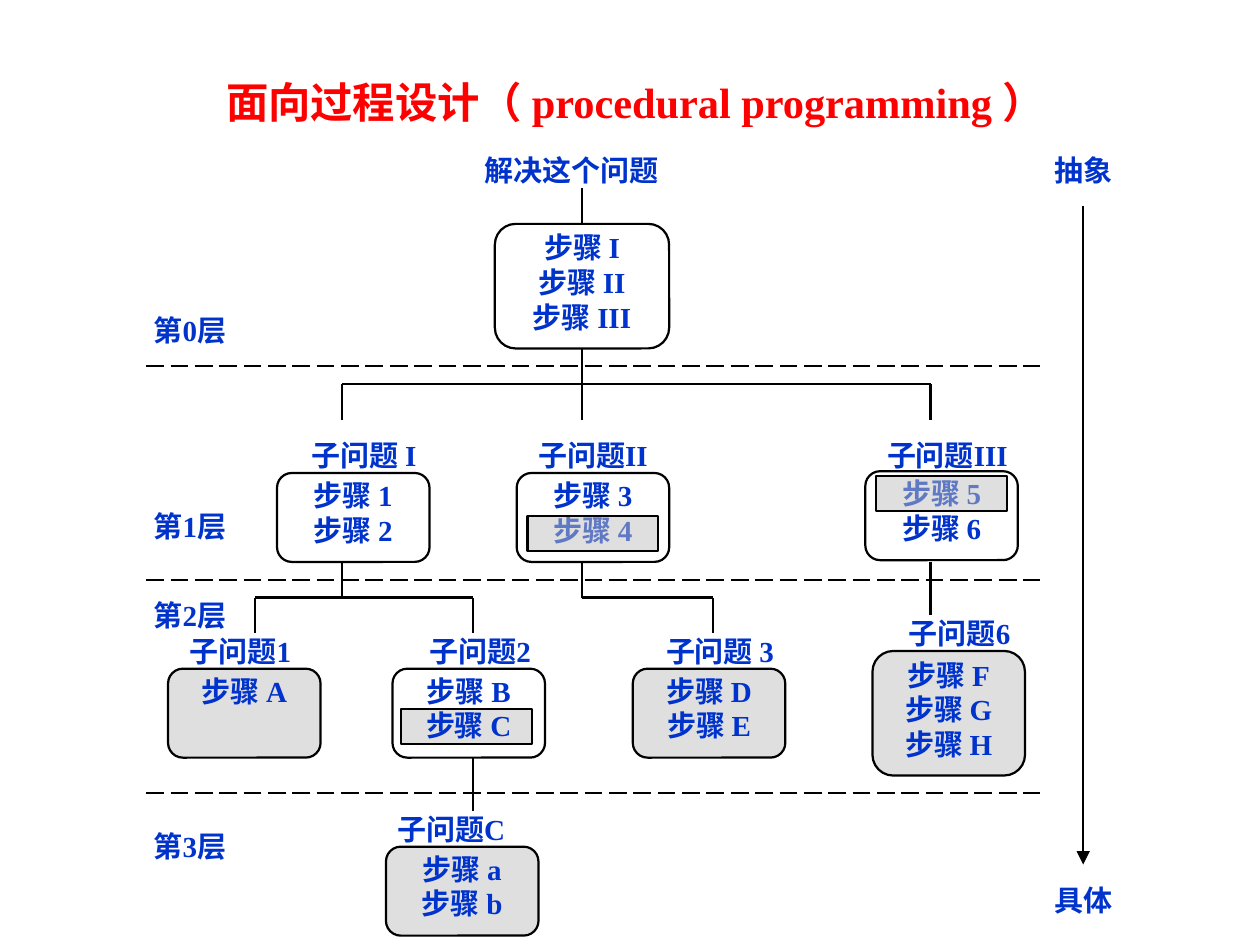
from dataclasses import dataclass

from lxml import etree
from pptx import Presentation
from pptx.dml.color import RGBColor
from pptx.enum.dml import MSO_LINE
from pptx.enum.shapes import MSO_CONNECTOR, MSO_SHAPE
from pptx.enum.text import MSO_ANCHOR, PP_ALIGN
from pptx.oxml.ns import qn
from pptx.util import Inches, Pt

ROUNDED, RECTANGLE = MSO_SHAPE.ROUNDED_RECTANGLE, MSO_SHAPE.RECTANGLE
STRAIGHT, LONG_DASH = MSO_CONNECTOR.STRAIGHT, MSO_LINE.LONG_DASH
CENTER, LEFT = PP_ALIGN.CENTER, PP_ALIGN.LEFT
TOP, MIDDLE = MSO_ANCHOR.TOP, MSO_ANCHOR.MIDDLE

COLORS = {"title": "FF0000", "text": "0033CC", "line": "000000", "shade": "C0C0C0"}
FONT = "Times New Roman"
BOX_COLUMNS, LABEL_COLUMNS, LABEL_ROWS = 7, 6, 2

# label, its column and alignment, box column and row, steps, shaded box
SUBPROBLEMS = [
    ("子问题 I", 7, CENTER, 6, 18, ["步骤 1", "步骤 2"], False),
    ("子问题II", 18, LEFT, 17, 18, ["步骤 3", "步骤 4"], False),
    ("子问题III", 34, LEFT, 33, 17.9, ["步骤 5", "步骤 6"], False),
    ("子问题1", 1.33, CENTER, 1, 29, ["步骤 A"], True),
    ("子问题2", 12.33, CENTER, 11.3, 29, ["步骤 B", "步骤 C"], False),
    ("子问题 3", 23.33, CENTER, 22.33, 29, ["步骤 D", "步骤 E"], True),
    ("子问题6", 34.33, CENTER, 33.33, 28, ["步骤 F", "步骤 G", "步骤 H"], True),
    ("子问题C", 11, CENTER, 11, 39, ["步骤 a", "步骤 b"], True),
]
MARKED_STEPS = [(17.5, 20.4), (33.5, 18.15), (11.7, 31.25)]
BRANCHES = [
    (9, 13, 36, 13), (9, 13, 9, 15), (36, 13, 36, 15),
    (9, 23, 9, 25), (5, 25, 15, 25), (5, 25, 5, 27), (15, 25, 15, 27),
    (20, 23, 20, 25), (20, 25, 26, 25), (26, 25, 26, 27),
    (15, 34, 15, 37), (36, 23, 36, 26),
]
LEVEL_ROWS = [9, 20, 25, 38]
DIVIDER_ROWS = [12, 24, 36]


@dataclass
class Grid:
    """Maps columns and rows to slide lengths, from an origin in inches."""
    left: float
    top: float
    column: float
    row: float

    def point(self, column, row):
        return (Inches(self.left + column * self.column),
                Inches(self.top + row * self.row))

    def box(self, column, row, columns, rows):
        return (*self.point(column, row),
                Inches(columns * self.column), Inches(rows * self.row))


def color(name):
    return RGBColor.from_string(COLORS[name])


def write(shape, lines, size=13, color_name="text", align=CENTER, anchor=TOP):
    frame = shape.text_frame
    frame.text = "\n".join(lines)
    frame.word_wrap = True
    frame.vertical_anchor = anchor
    frame.margin_left = frame.margin_right = 0
    frame.margin_top = frame.margin_bottom = 0
    for paragraph in frame.paragraphs:
        paragraph.alignment = align
        font = paragraph.runs[0].font
        font.name, font.size, font.bold = FONT, Pt(size), True
        font.color.rgb = color(color_name)


def add_label(slide, box, text, **style):
    label = slide.shapes.add_textbox(*box)
    write(label, [text], **style)
    return label


def add_box(slide, preset, box, shaded):
    shape = slide.shapes.add_shape(preset, *box)
    shape.shadow.inherit = False
    shape.line.color.rgb = color("line")
    shape.line.width = Pt(1)
    if shaded:
        shape.fill.solid()
        shape.fill.fore_color.rgb = color("shade")
        tint = shape.fill._xPr.find(".//" + qn("a:srgbClr"))
        etree.SubElement(tint, qn("a:alpha"), val="50000")
    else:
        shape.fill.background()
    return shape


def add_step_box(slide, box, steps, shaded=False):
    shape = add_box(slide, ROUNDED, box, shaded)
    write(shape, steps)
    return shape


def add_line(slide, start, end):
    line = slide.shapes.add_connector(STRAIGHT, *start, *end)
    line.line.color.rgb = color("line")
    line.line.width = Pt(1)
    etree.SubElement(line._element.spPr, qn("a:effectLst"))
    return line


def draw_root(slide, grid):
    add_label(slide, grid.box(15, 0, 9, LABEL_ROWS), "解决这个问题")
    root = add_step_box(slide, grid.box(16, 4, 8, 7), ["步骤 I", "步骤 II", "步骤 III"])
    add_line(slide, grid.point(20, 2), grid.point(20, 4)).end_connect(root, 0)
    add_line(slide, grid.point(20, 11), grid.point(20, 15)).begin_connect(root, 2)


def draw_subproblems(slide, grid):
    for label, label_column, align, column, row, steps, shaded in SUBPROBLEMS:
        rows = 7 if len(steps) == 3 else 5
        add_step_box(slide, grid.box(column, row, BOX_COLUMNS, rows), steps, shaded)
        label_box = grid.box(label_column, round(row) - LABEL_ROWS,
                             LABEL_COLUMNS, LABEL_ROWS)
        add_label(slide, label_box, label, align=align)
    for column, row in MARKED_STEPS:
        mark = add_box(slide, RECTANGLE, grid.box(column, row, LABEL_COLUMNS, 2), True)
        if (column, row) == MARKED_STEPS[-1]:
            # The mark of step C lies behind its text
            slide.shapes._spTree.insert(2, mark._element)
    for start_column, start_row, end_column, end_row in BRANCHES:
        add_line(slide, grid.point(start_column, start_row),
                 grid.point(end_column, end_row))


def draw_levels(slide, grid):
    for level, row in enumerate(LEVEL_ROWS):
        add_label(slide, grid.box(-1, row, LABEL_COLUMNS, LABEL_ROWS), f"第{level}层")
    for row in DIVIDER_ROWS:
        divider = add_line(slide, grid.point(0, row), grid.point(41, row))
        divider.line.dash_style = LONG_DASH


def draw_abstraction_axis(slide, grid):
    for text, row in (("抽象", 0), ("具体", 41)):
        add_label(slide, grid.box(41, row, 4, LABEL_ROWS), text)
    axis = add_line(slide, grid.point(43, 3), grid.point(43, 40))
    etree.SubElement(axis.line._get_or_add_ln(), qn("a:tailEnd"), type="triangle")


def main():
    presentation = Presentation()
    presentation.slide_width, presentation.slide_height = Inches(7.84), Inches(5.88)
    slide = presentation.slides.add_slide(presentation.slide_layouts[6])
    title_box = (Inches(0.65), Inches(0.35), Inches(6.61), Inches(0.56))
    add_label(slide, title_box, "面向过程设计（ procedural programming ）",
              size=19, color_name="title", anchor=MIDDLE)
    grid = Grid(left=0.91, top=0.95, column=(6.74 - 0.91) / 43, row=(5.49 - 0.95) / 41)
    for draw in (draw_root, draw_subproblems, draw_levels, draw_abstraction_axis):
        draw(slide, grid)
    presentation.save("out.pptx")


if __name__ == "__main__":
    main()
